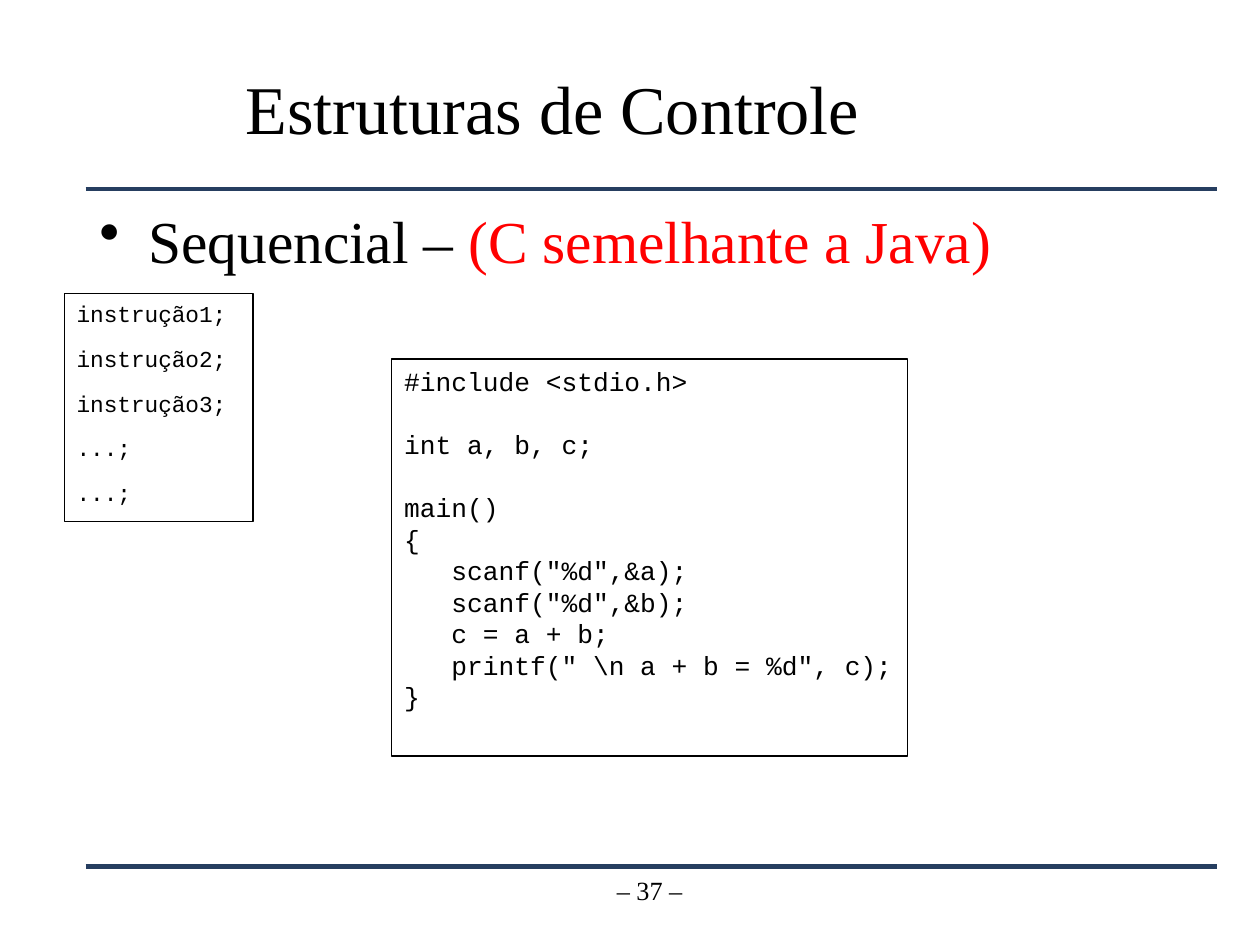
from lxml.etree import SubElement
from pptx import Presentation
from pptx.dml.color import RGBColor
from pptx.enum.shapes import MSO_CONNECTOR, MSO_SHAPE
from pptx.enum.text import MSO_ANCHOR as Anchor, PP_ALIGN as Align
from pptx.oxml.ns import qn
from pptx.util import Pt

THEME = {
    "black": RGBColor(0, 0, 0),
    "white": RGBColor(255, 255, 255),
    "red": RGBColor(255, 0, 0),
    "navy": RGBColor(0x26, 0x3E, 0x60),
    "serif": "Times New Roman",
    "mono": "Courier New",
    "title": 39, "body": 34, "footer": 15, "code": 15, "steps": 13,
    "rule": 2.83, "border": 0.75,
    "line_height": 1.2,
}

TITLE = "Estruturas de Controle"
TOPIC = [("Sequencial – ", "black"), ("(C semelhante a Java)", "red")]
PAGE = "– 37 –"
STEPS = ["instrução1;", "instrução2;", "instrução3;", "...;", "...;"]
# Each block is separated from the next by one empty line.
PROGRAM = [
    ["#include <stdio.h>"],
    ["int a, b, c;"],
    ["main()", "{", '   scanf("%d",&a);', '   scanf("%d",&b);', "   c = a + b;",
     '   printf(" \\n a + b = %d", c);', "}"],
]

RULE_LEFT, RULE_RIGHT = 49, 695.5
RULE_TOPS = (108, 495.4)
TITLE_BOX = (133.2, 23, 623.5, 77)
TOPIC_BOX = (49.7, 108.7, 645, 59)
PAGE_BOX = (287.3, 496.1, 167.8, 37.4)
STEPS_BOX = (36.7, 167.8, 108, 130.3)
PROGRAM_BOX = (223.9, 205.2, 294.5, 226.8)
BULLET_INDENT = 28


def apply(target, **values):
    for name, value in values.items():
        setattr(target, name, value)


def set_frame(shape, **values):
    frame = shape.text_frame
    settings = {"word_wrap": True, "vertical_anchor": Anchor.TOP,
                "margin_left": Pt(7.2), "margin_right": Pt(7.2),
                "margin_top": Pt(3.6), "margin_bottom": Pt(3.6)}
    apply(frame, **{**settings, **values})
    return frame


def add_run(paragraph, text, size, font="serif", color="black"):
    run = paragraph.add_run()
    run.text = text
    apply(run.font, name=THEME[font], size=Pt(THEME[size]))
    run.font.color.rgb = THEME[color]


def add_text(slide, box, runs, size, align=Align.LEFT, **frame_values):
    shape = slide.shapes.add_textbox(*map(Pt, box))
    paragraph = set_frame(shape, **frame_values).paragraphs[0]
    paragraph.alignment = align
    for text, color in runs:
        add_run(paragraph, text, size, color=color)
    return paragraph


def add_bullet(paragraph, indent):
    properties = paragraph._p.get_or_add_pPr()
    properties.set("marL", str(Pt(indent)))
    properties.set("indent", str(Pt(-indent)))
    SubElement(properties, qn("a:buChar")).set("char", "•")


def add_rule(slide, top):
    rule = slide.shapes.add_connector(
        MSO_CONNECTOR.STRAIGHT, Pt(RULE_LEFT), Pt(top), Pt(RULE_RIGHT), Pt(top))
    rule.line.color.rgb = THEME["navy"]
    rule.line.width = Pt(THEME["rule"])
    SubElement(rule._element.spPr, qn("a:effectLst"))


def add_code(slide, box, lines, size):
    """Draw a bordered box; lines are (text, space before, space after)."""
    shape = slide.shapes.add_shape(MSO_SHAPE.RECTANGLE, *map(Pt, box))
    shape.shadow.inherit = False
    shape.fill.solid()
    shape.fill.fore_color.rgb = THEME["white"]
    shape.line.color.rgb = THEME["black"]
    shape.line.width = Pt(THEME["border"])
    frame = set_frame(shape, margin_right=0)
    for index, (text, before, after) in enumerate(lines):
        paragraph = frame.add_paragraph() if index else frame.paragraphs[0]
        apply(paragraph, alignment=Align.LEFT, space_before=Pt(before),
              space_after=Pt(after),
              line_spacing=Pt(THEME[size] * THEME["line_height"]))
        add_run(paragraph, text, size, "mono")


def main():
    presentation = Presentation()
    apply(presentation, slide_width=Pt(720), slide_height=Pt(540))
    slide = presentation.slides.add_slide(presentation.slide_layouts[6])

    for top in RULE_TOPS:
        add_rule(slide, top)
    topic = add_text(slide, TOPIC_BOX, TOPIC, "body", margin_top=Pt(7.6))
    add_bullet(topic, BULLET_INDENT)
    add_text(slide, PAGE_BOX, [(PAGE, "black")], "footer", Align.CENTER)
    add_text(slide, TITLE_BOX, [(TITLE, "black")], "title",
             vertical_anchor=Anchor.MIDDLE)

    add_code(slide, STEPS_BOX, [(step, 0, 10) for step in STEPS], "steps")
    empty_line = THEME["code"] * THEME["line_height"]
    program_lines = [
        (text, empty_line if block_index and not line_index else 0, 0)
        for block_index, block in enumerate(PROGRAM)
        for line_index, text in enumerate(block)
    ]
    add_code(slide, PROGRAM_BOX, program_lines, "code")
    presentation.save("out.pptx")


if __name__ == "__main__":
    main()
